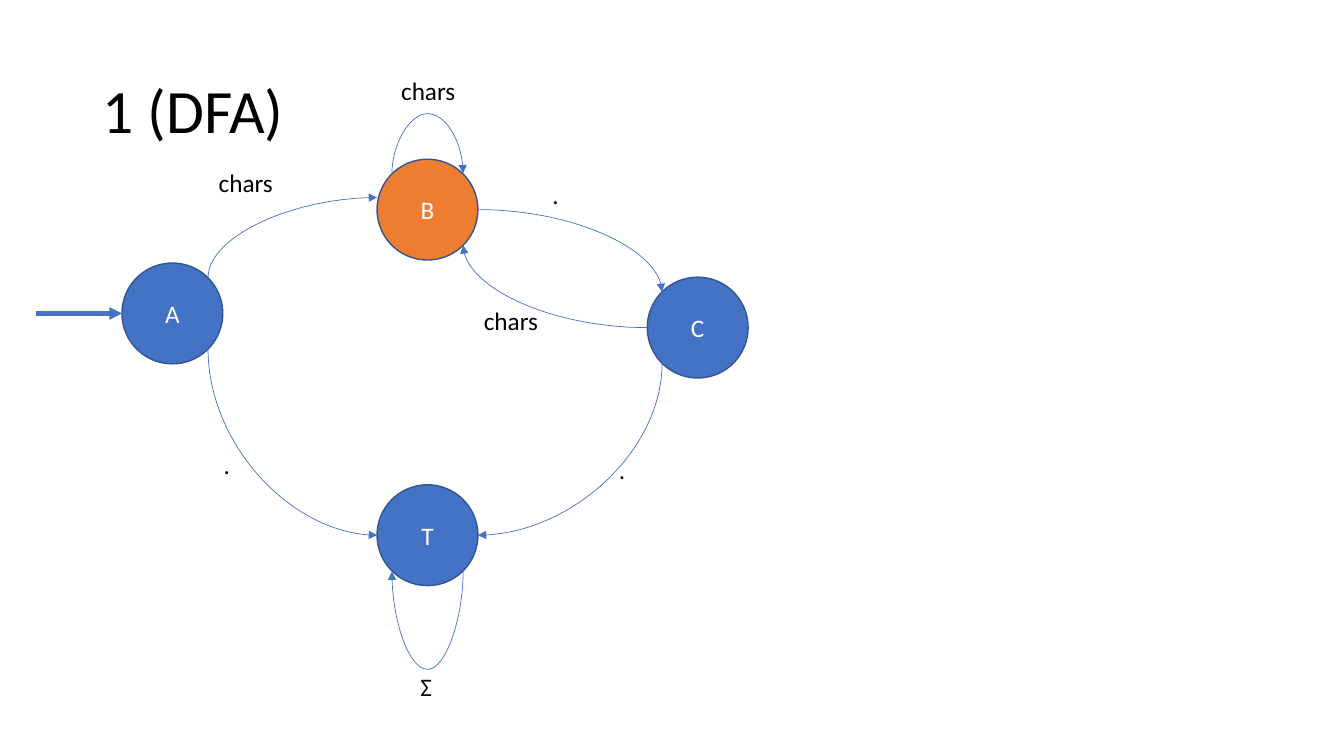
"""Draw the state diagram of a deterministic finite automaton on one slide."""
from math import cos, pi, sin
from typing import NamedTuple, Optional

from lxml.etree import SubElement
from pptx import Presentation
from pptx.dml.color import RGBColor
from pptx.enum.shapes import MSO_CONNECTOR, MSO_SHAPE
from pptx.enum.text import MSO_ANCHOR, PP_ALIGN
from pptx.oxml.ns import qn
from pptx.util import Inches, Pt

BLACK = RGBColor(0x00, 0x00, 0x00)
WHITE = RGBColor(0xFF, 0xFF, 0xFF)
BLUE = RGBColor(0x44, 0x72, 0xC4)
DARK_BLUE = RGBColor(0x32, 0x54, 0x91)
ORANGE = RGBColor(0xED, 0x7D, 0x31)
CURVE, STRAIGHT = MSO_CONNECTOR.CURVE, MSO_CONNECTOR.STRAIGHT
OVAL = MSO_SHAPE.OVAL
MIDDLE, TOP = MSO_ANCHOR.MIDDLE, MSO_ANCHOR.TOP
CENTER, LEFT = PP_ALIGN.CENTER, PP_ALIGN.LEFT
FONT = "Calibri"
DIAMETER = 1.0
LOOP_OFFSET = Pt(1).inches
TOP_LEFT, LEFT_SITE, BOTTOM_LEFT, BOTTOM_RIGHT, RIGHT_SITE, TOP_RIGHT = 1, 2, 3, 5, 6, 7


class State(NamedTuple):
    name: str
    left: float
    top: float
    fill: RGBColor = BLUE


class Transition(NamedTuple):
    source: str
    source_site: int
    target: str
    target_site: int
    rotation: int
    flips: str = ""
    target_shift: float = 0
    loop_bend: Optional[float] = None


class Label(NamedTuple):
    text: str
    left: float
    top: float


STATES = [
    State("A", 1.21, 2.61),
    State("B", 3.74, 1.58, ORANGE),
    State("C", 6.42, 2.75),
    State("T", 3.74, 4.81),
]
TRANSITIONS = [
    Transition("A", TOP_RIGHT, "B", LEFT_SITE, 90, "HV", target_shift=-0.12),
    Transition("A", BOTTOM_RIGHT, "T", LEFT_SITE, 270, "H"),
    Transition("B", RIGHT_SITE, "C", TOP_LEFT, 0),
    Transition("C", LEFT_SITE, "B", BOTTOM_RIGHT, 180),
    Transition("C", BOTTOM_LEFT, "T", RIGHT_SITE, 90),
    Transition("T", BOTTOM_RIGHT, "T", BOTTOM_LEFT, 90, loop_bend=71.4),
    Transition("B", TOP_LEFT, "B", TOP_RIGHT, 90, "HV", loop_bend=43.97),
]
LABELS = [
    Label("chars", 2.07, 1.61),
    Label("chars", 3.88, 0.7),
    Label(".", 5.38, 1.73),
    Label("chars", 4.7, 2.98),
    Label(".", 6.04, 4.46),
    Label(".", 2.12, 4.41),
    Label("Σ", 4.07, 6.61),
]


def write_text(shape, text: str, *, size=18, color=BLACK, align=LEFT, anchor=TOP, spacing=1.0):
    """Put one formatted paragraph into a shape."""
    frame = shape.text_frame
    frame.word_wrap = True
    frame.vertical_anchor = anchor
    paragraph = frame.paragraphs[0]
    paragraph.alignment = align
    paragraph.line_spacing = spacing
    run = paragraph.add_run()
    run.text = text
    run.font.name = FONT
    run.font.size = Pt(size)
    run.font.color.rgb = color


def add_text(slide, text: str, left: float, top: float, width=1.05, height=0.4, **text_format):
    """Add a text box."""
    box = slide.shapes.add_textbox(Inches(left), Inches(top), Inches(width), Inches(height))
    write_text(box, text, **text_format)


def add_state(slide, state: State):
    """Add the circle of a state and return it."""
    circle = slide.shapes.add_shape(
        OVAL, Inches(state.left), Inches(state.top), Inches(DIAMETER), Inches(DIAMETER))
    circle.shadow.inherit = False
    circle.fill.solid()
    circle.fill.fore_color.rgb = state.fill
    circle.line.color.rgb = DARK_BLUE
    circle.line.width = Pt(1)
    write_text(circle, state.name, color=WHITE, align=CENTER, anchor=MIDDLE)
    return circle


def add_arrow(slide, kind, left: float, top: float, width: float, height: float, weight: float):
    """Add a connector with an arrowhead at its end."""
    arrow = slide.shapes.add_connector(
        kind, Inches(left), Inches(top), Inches(left + width), Inches(top + height))
    arrow.line.color.rgb = BLUE
    arrow.line.width = Pt(weight)
    properties = arrow._element.spPr
    SubElement(properties.find(qn("a:ln")), qn("a:tailEnd"), type="triangle")
    SubElement(properties, qn("a:effectLst"))
    return arrow


def site_point(state: State, site: int) -> tuple[float, float]:
    """Return a connection site, counted counterclockwise from the top."""
    radius, angle = DIAMETER / 2, site * pi / 4
    return (state.left + radius - radius * sin(angle),
            state.top + radius - radius * cos(angle))


def add_transition(slide, transition: Transition, circles: dict):
    """Add a curved arrow between two states."""
    states = {state.name: state for state in STATES}
    start_x, start_y = site_point(states[transition.source], transition.source_site)
    end_x, end_y = site_point(states[transition.target], transition.target_site)
    end_y += transition.target_shift
    width, height = abs(end_x - start_x), abs(end_y - start_y)
    is_loop = transition.loop_bend is not None
    if is_loop:
        height = LOOP_OFFSET
    if transition.rotation in (90, 270):
        width, height = height, width
    left = (start_x + end_x - width) / 2
    top = (start_y + end_y - height) / 2
    arrow = add_arrow(slide, CURVE, left, top, width, height, 0.5)

    transform = arrow._element.spPr.find(qn("a:xfrm"))
    transform.set("rot", str(transition.rotation * 60000))
    for flip in transition.flips:
        transform.set("flip" + flip, "1")
    geometry = arrow._element.spPr.find(qn("a:prstGeom"))
    if is_loop:
        guides = geometry.find(qn("a:avLst"))
        bend = round(transition.loop_bend * 100000)
        SubElement(guides, qn("a:gd"), name="adj1", fmla=f"val {bend}")
    else:
        geometry.set("prst", "curvedConnector2")

    links = arrow._element.find(".//" + qn("p:cNvCxnSpPr"))
    ends = [("a:stCxn", transition.source, transition.source_site)]
    if not transition.target_shift:
        ends.append(("a:endCxn", transition.target, transition.target_site))
    for tag, name, site in ends:
        SubElement(links, qn(tag), id=str(circles[name].shape_id), idx=str(site))


def main():
    """Build and save the presentation."""
    presentation = Presentation()
    presentation.slide_width = Inches(13.33)
    presentation.slide_height = Inches(7.5)
    slide = presentation.slides.add_slide(presentation.slide_layouts[6])
    add_text(slide, "1 (DFA)", 0.92, 0.4, 11.5, 1.45, size=44, anchor=MIDDLE, spacing=0.9)
    circles = {state.name: add_state(slide, state) for state in STATES}
    for transition in TRANSITIONS:
        add_transition(slide, transition, circles)
    for label in LABELS:
        add_text(slide, label.text, label.left, label.top)
    add_arrow(slide, STRAIGHT, 0.36, 3.11, 0.85, 0, 3)
    presentation.save("out.pptx")


main()
